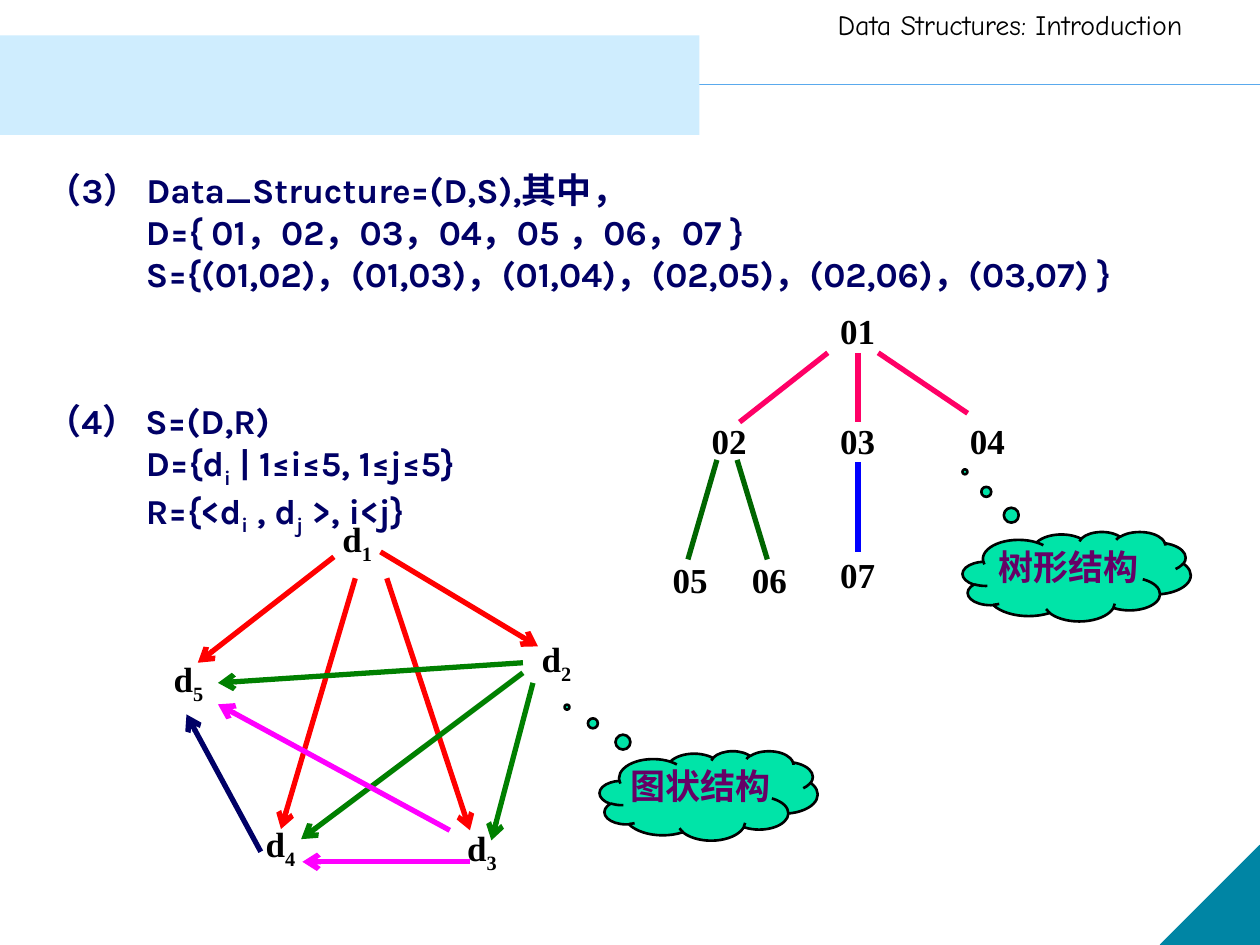
import pptx
import pptx.util
import pptx.dml.color
import pptx.enum.shapes
import pptx.enum.text
import pptx.oxml.ns
from lxml import etree

Inches = pptx.util.Inches
Pt = pptx.util.Pt
color = pptx.dml.color.RGBColor.from_string
kinds = pptx.enum.shapes.MSO_SHAPE
qn = pptx.oxml.ns.qn

deck = pptx.Presentation()
deck.slide_width = Inches(10)
deck.slide_height = Inches(7.5)
shapes = deck.slides.add_slide(deck.slide_layouts[6]).shapes


def label(left, top, width, height, lines, face, size, ink, bold=True):
    box = shapes.add_textbox(Inches(left), Inches(top), Inches(width), Inches(height))
    frame = box.text_frame
    frame.word_wrap = True
    for row, (line, inset) in enumerate(lines):
        para = frame.add_paragraph() if row else frame.paragraphs[0]
        if inset:
            para._p.get_or_add_pPr().set("marL", str(Inches(inset)))
        for part, text in enumerate(line.split("~")):
            if not text:
                continue
            run = para.add_run()
            run.text = text
            run.font.name = face
            run.font.size = Pt(size)
            run.font.bold = bold
            run.font.color.rgb = color(ink)
            if part % 2:
                run._r.get_or_add_rPr().set("baseline", "-25000")


def link(start, end, ink, width=3, arrow=False):
    ends = [Inches(n) for n in start + end]
    line = shapes.add_connector(pptx.enum.shapes.MSO_CONNECTOR.STRAIGHT, *ends)
    line.line.color.rgb = color(ink)
    line.line.width = Pt(width)
    if arrow:
        etree.SubElement(line.line._get_or_add_ln(), qn("a:tailEnd"), type="arrow")
    etree.SubElement(line._element.spPr, qn("a:effectLst"))


link((0, 0.67), (10, 0.67), "5AAAED", 1)
corner = shapes.add_shape(
    kinds.RIGHT_TRIANGLE, Inches(9.21), Inches(6.71), Inches(0.79), Inches(0.79))
corner.shadow.inherit = False
corner._element.spPr.xfrm.set("flipH", "1")
corner.fill.solid()
corner.fill.fore_color.rgb = color("0085A4")
corner.line.color.rgb = color("0085A4")
corner.line.width = Pt(0.75)

label(6.55, 0.01, 3.45, 0.37, [("Data Structures: Introduction", 0)],
      "Comic Neue", 16, "000000", False)
band = shapes.add_shape(
    kinds.RECTANGLE, Inches(0), Inches(0.28), Inches(5.55), Inches(0.79))
band.shadow.inherit = False
band.fill.solid()
band.fill.fore_color.rgb = color("CFEDFE")
band.line.fill.background()

label(0.27, 1.29, 9.65, 1.11, [
    ("（3） Data_Structure=(D,S),其中，", 0),
    ("D={ 01，02，03，04，05 ，06，07 }", 0.79),
    ("S={(01,02)，(01,03)，(01,04)，(02,05)，(02,06)，(03,07) }", 0.79),
], "Karla", 20, "000066")
label(0.27, 3.12, 6, 1.1, [
    ("（4） S=(D,R)", 0),
    ("D={d~i~ | 1≤i≤5, 1≤j≤5}", 0.79),
    ("R={<d~i~ , d~j~ >, i<j}", 0.79),
], "Karla", 20, "000066")

for start, end, ink in [
    ((2.65, 4.42), (1.57, 5.26), "FF0000"),
    ((3.02, 4.38), (4.27, 5.13), "FF0000"),
    ((2.82, 4.59), (2.23, 6.58), "FF0000"),
    ((3.07, 4.59), (3.73, 6.59), "FF0000"),
    ((4.23, 5.42), (3.9, 6.67), "008000"),
    ((4.15, 5.34), (2.39, 6.66), "008000"),
    ((4.15, 5.26), (1.73, 5.42), "008000"),
    ((3.73, 6.84), (2.4, 6.84), "FF00FF"),
    ((3.57, 6.59), (1.73, 5.59), "FF00FF"),
    ((2.07, 6.76), (1.48, 5.67), "000066"),
]:
    link(start, end, ink, arrow=True)

for text, left, top in [
    ("d~1~", 2.62, 4.06), ("d~2~", 4.2, 5.01), ("d~3~", 3.61, 6.51),
    ("d~4~", 2.01, 6.48), ("d~5~", 1.28, 5.17),
    ("01", 6.57, 2.41), ("02", 5.55, 3.28), ("03", 6.57, 3.28),
    ("04", 7.6, 3.28), ("05", 5.24, 4.38), ("06", 5.87, 4.38),
    ("07", 6.57, 4.34),
]:
    label(left, top, 0.63, 0.43, [(text, 0)], "Times New Roman", 20, "000000")

for start, end, ink in [
    ((6.57, 2.8), (5.87, 3.35), "FF0066"),
    ((6.81, 2.8), (6.81, 3.35), "FF0066"),
    ((6.97, 2.8), (7.68, 3.28), "FF0066"),
    ((5.69, 3.65), (5.46, 4.44), "006600"),
    ((5.85, 3.65), (6.09, 4.44), "006600"),
    ((6.81, 3.67), (6.81, 4.38), "0000FF"),
]:
    link(start, end, ink)

for text, left, top, width, tip in [
    ("树形结构", 7.64, 4.22, 1.81, (-0.49, -1.17)),
    ("图状结构", 4.76, 5.96, 1.73, (-0.65, -0.99)),
]:
    cloud = shapes.add_shape(
        kinds.CLOUD_CALLOUT, Inches(left), Inches(top), Inches(width), Inches(0.71))
    cloud.shadow.inherit = False
    cloud.adjustments[0], cloud.adjustments[1] = tip
    cloud.fill.solid()
    cloud.fill.fore_color.rgb = color("00E4A8")
    cloud.line.color.rgb = color("000000")
    cloud.line.width = Pt(1.5)
    frame = cloud.text_frame
    frame.margin_left = frame.margin_right = 0
    frame.margin_top = frame.margin_bottom = 0
    frame.vertical_anchor = pptx.enum.text.MSO_ANCHOR.TOP
    frame.text = text
    para = frame.paragraphs[0]
    para.alignment = pptx.enum.text.PP_ALIGN.CENTER
    font = para.runs[0].font
    font.name = "Karla"
    font.size = Pt(20)
    font.bold = True
    font.color.rgb = color("660066")

deck.save("out.pptx")
